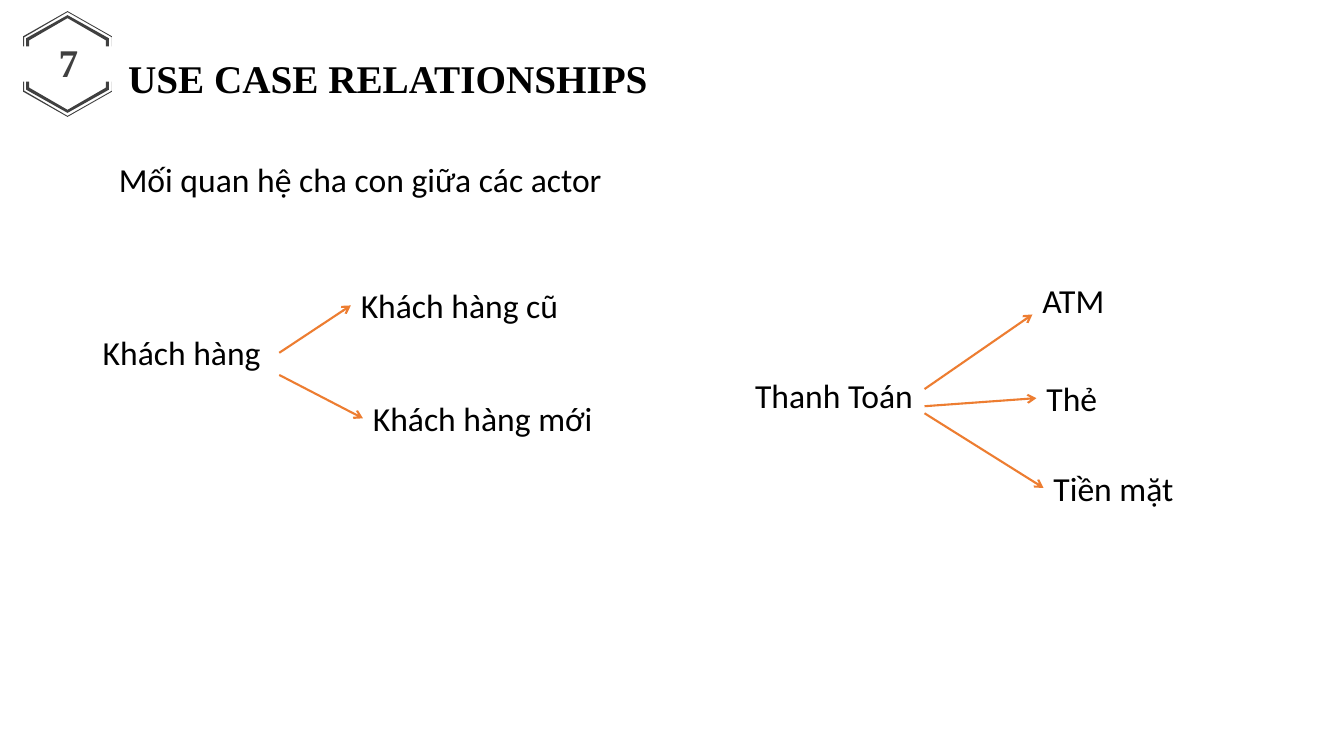
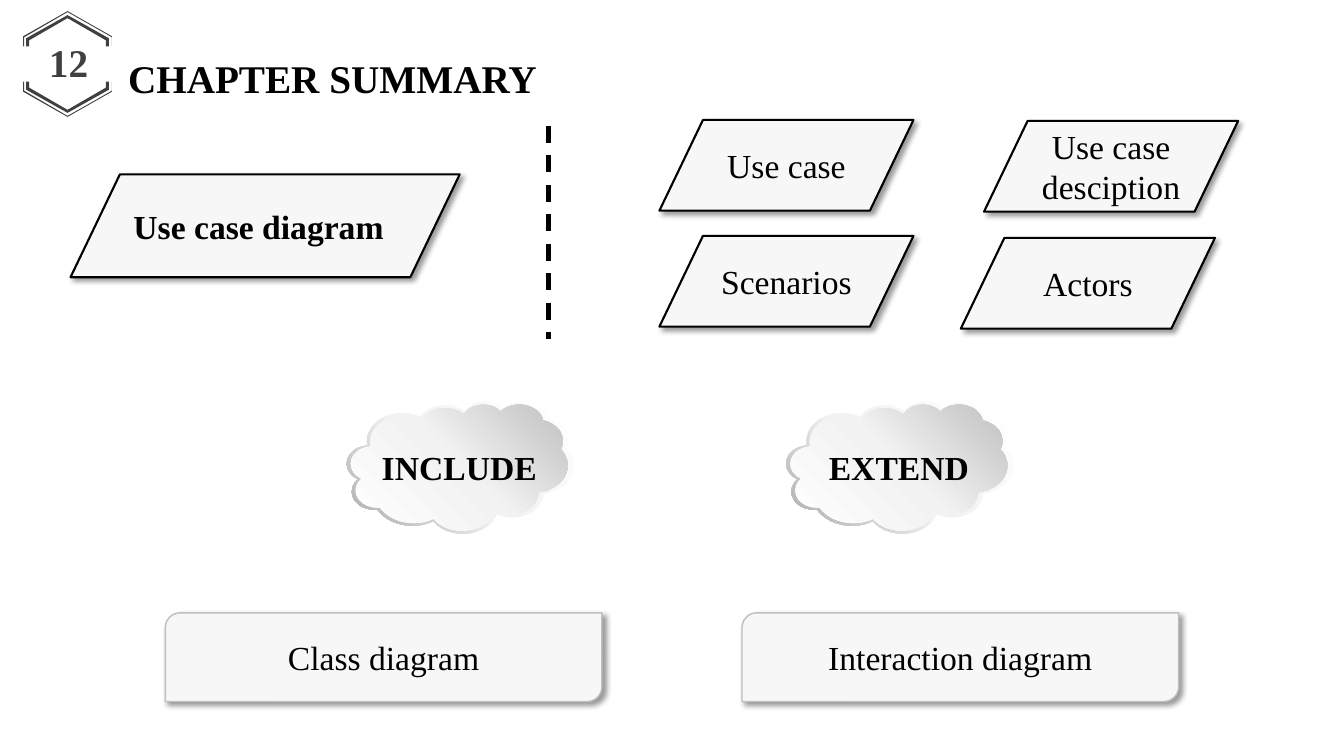
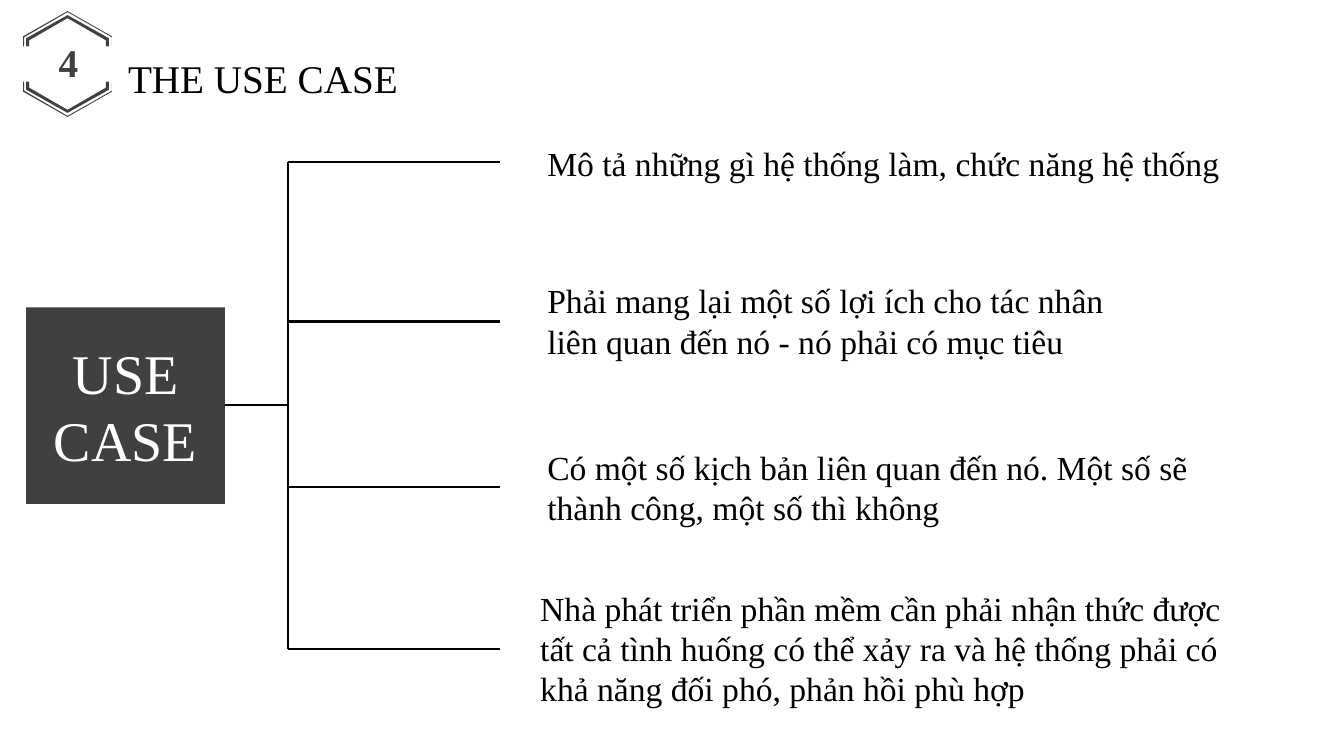
"""Build three slides on use cases and their relationships."""
import pptx
import pptx.util
import pptx.dml.color
import pptx.enum.dml
import pptx.enum.shapes
import pptx.enum.text
import pptx.oxml
import pptx.oxml.ns

PX = 9144
INK = {"black": "000000", "dark": "404040", "white": "FFFFFF", "pale": "F7F7F7",
       "grey": "BFBFBF", "soft": "F2F2F2", "deep": "A6A6A6", "orange": "ED7D31"}
SERIF = "Times New Roman"
SANS = "Calibri"
RGB = pptx.dml.color.RGBColor.from_string
Pt = pptx.util.Pt
KIND = pptx.enum.shapes.MSO_SHAPE
ALIGN = pptx.enum.text.PP_ALIGN
ANCHOR = pptx.enum.text.MSO_ANCHOR
NS = pptx.oxml.ns.nsdecls("a")


def write(shape, text, font=SERIF, size=24, bold=False, ink="black",
          align=ALIGN.LEFT, anchor=ANCHOR.TOP, wrap=True):
    frame = shape.text_frame
    frame.text = text
    frame.word_wrap = wrap
    frame.auto_size = pptx.enum.text.MSO_AUTO_SIZE.NONE
    frame.vertical_anchor = anchor
    for para in frame.paragraphs:
        para.alignment = align
        for run in para.runs:
            run.font.name = font
            run.font.size = Pt(size)
            run.font.bold = bold
            run.font.color.rgb = RGB(INK[ink])


def join(slide, ends, ink="black", width=1.5):
    line = slide.shapes.add_connector(
        pptx.enum.shapes.MSO_CONNECTOR.STRAIGHT, *(PX * n for n in ends))
    line.line.color.rgb = RGB(INK[ink])
    line.line.width = Pt(width)
    line._element.spPr.append(pptx.oxml.parse_xml(f"<a:effectLst {NS}/>"))
    return line


deck = pptx.Presentation()
deck.slide_width = 1333 * PX
deck.slide_height = 750 * PX

rims = [
    [(24, 46), (24, 37), (67, 12), (111, 37), (111, 46),
     (111, 36), (67, 11), (23, 36), (23, 46)],
    [(29, 46), (29, 40), (67, 18), (105, 40), (105, 46),
     (108, 46), (108, 38), (67, 15), (26, 38), (26, 46)],
]
heads = [("7", "USE CASE RELATIONSHIPS", 1179, True),
         ("12", "CHAPTER SUMMARY", 537, True),
         ("4", "THE USE CASE", 537, False)]
slides = []
for num, name, wide, bold in heads:
    slide = deck.slides.add_slide(deck.slide_layouts[5])
    slides.append(slide)
    title = slide.shapes.title
    title.left, title.top, title.width, title.height = (PX * n for n in (117, 18, wide, 72))
    write(title, name, size=28, bold=bold)
    title.text_frame.margin_top = 13 * PX
    title.text_frame.paragraphs[0].line_spacing = 1.5
    badge = slide.shapes.add_textbox(*(PX * n for n in (21, 29, 94, 65)))
    write(badge, num, size=28, bold=True, ink="dark",
          align=ALIGN.CENTER, anchor=ANCHOR.MIDDLE)
    for rim in rims:
        for side in (rim, [(x, 127 - y) for x, y in rim]):
            pen = slide.shapes.build_freeform(*side[0], scale=PX)
            pen.add_line_segments(side[1:], close=True)
            edge = pen.convert_to_shape()
            edge.shadow.inherit = False
            edge.fill.solid()
            edge.fill.fore_color.rgb = RGB(INK["dark"])
            edge.line.fill.background()

actors, recap, case = slides

labels = [
    ("Mối quan hệ cha con giữa các actor", 108, 153, 503),
    ("Khách hàng", 92, 324, 186),
    ("Khách hàng cũ", 348, 278, 218),
    ("Khách hàng mới", 360, 390, 240),
    ("Thanh Toán", 739, 367, 178),
    ("ATM", 1024, 273, 82),
    ("Thẻ", 1028, 370, 71),
    ("Tiền mặt", 1035, 459, 140),
]
for text, left, top, wide in labels:
    label = actors.shapes.add_textbox(*(PX * n for n in (left, top, wide, 50)))
    write(label, text, font=SANS, wrap=False)

for ends in [(277, 350, 348, 303), (277, 372, 360, 415), (917, 386, 1024, 312),
             (917, 403, 1028, 395), (917, 410, 1035, 484)]:
    arrow = join(actors, ends, "orange")
    edge = arrow._element.spPr.find(pptx.oxml.ns.qn("a:ln"))
    edge.append(pptx.oxml.parse_xml(f'<a:tailEnd {NS} type="arrow"/>'))

SLANT = KIND.PARALLELOGRAM
ROUND = KIND.ROUND_2_DIAG_RECTANGLE
cards = [
    (SLANT, "Use case diagram", 70, 173, 386, 102),
    (SLANT, "Use case", 654, 119, 252, 90),
    (SLANT, "Scenarios", 654, 234, 252, 90),
    (SLANT, "Use case desciption", 976, 120, 252, 90),
    (SLANT, "Actors", 953, 236, 252, 90),
    (ROUND, "Class diagram", 164, 608, 433, 88),
    (ROUND, "Interaction diagram", 736, 608, 433, 88),
]
for kind, text, *box in cards:
    card = recap.shapes.add_shape(kind, *(PX * n for n in box))
    card.fill.solid()
    card.fill.fore_color.rgb = RGB(INK["pale"])
    slant = kind == SLANT
    if slant:
        card.adjustments[0] = 0.48
    card.line.color.rgb = RGB(INK["black" if slant else "grey"])
    card.line.width = Pt(1.5 if slant else 1)
    card.shadow.inherit = False
    glow = card._element.spPr.find(pptx.oxml.ns.qn("a:effectLst"))
    glow.append(pptx.oxml.parse_xml(
        f'<a:outerShdw {NS} blurRad="{Pt(4)}" dist="{Pt(3)}" dir="2700000" algn="tl" '
        f'rotWithShape="0"><a:srgbClr val="{INK["black"]}"><a:alpha val="40000"/>'
        '</a:srgbClr></a:outerShdw>'))
    main = text == "Use case diagram"
    write(card, text, bold=main, anchor=ANCHOR.MIDDLE,
          align=ALIGN.LEFT if main else ALIGN.CENTER)

for text, left in [("INCLUDE", 344), ("EXTEND", 780)]:
    for box, mid, end, turn in [((left, 398, 225, 131), 55, "deep", 135),
                                ((left + 4, 401, 215, 125), 51, "grey", 315)]:
        cloud = recap.shapes.add_shape(KIND.CLOUD, *(PX * n for n in box))
        cloud.shadow.inherit = False
        cloud.line.fill.background()
        stops = "".join(
            f'<a:gs pos="{pos * 1000}"><a:srgbClr val="{INK[ink]}"/></a:gs>'
            for pos, ink in [(0, "white"), (mid, "soft"), (100, end)])
        cloud._element.spPr.insert(2, pptx.oxml.parse_xml(
            f'<a:gradFill {NS} rotWithShape="1"><a:gsLst>{stops}</a:gsLst>'
            f'<a:lin ang="{turn * 60000}" scaled="0"/></a:gradFill>'))
    label = recap.shapes.add_textbox(*(PX * n for n in (left + 16, 438, 191, 50)))
    write(label, text, bold=True, align=ALIGN.CENTER)

rule = join(recap, (544, 125, 544, 336), width=3)
rule.line.dash_style = pptx.enum.dml.MSO_LINE.DASH

root = case.shapes.add_shape(KIND.RECTANGLE, *(PX * n for n in (26, 305, 197, 195)))
root.shadow.inherit = False
root.fill.solid()
root.fill.fore_color.rgb = RGB(INK["dark"])
root.line.fill.background()
write(root, "USE\nCASE", size=40, ink="white", align=ALIGN.CENTER,
      anchor=ANCHOR.MIDDLE, wrap=False)
join(case, (223, 402, 286, 402))
join(case, (286, 161, 286, 644))

points = [
    (161, "Mô tả những gì hệ thống làm, chức năng hệ thống", 533, 137, 700, 50),
    (319, "Phải mang lại một số lợi ích cho tác nhân liên quan đến nó - nó phải có mục tiêu",
     533, 273, 629, 91),
    (483, "Có một số kịch bản liên quan đến nó. Một số sẽ thành công, một số thì không",
     533, 438, 667, 91),
    (644, "Nhà phát triển phần mềm cần phải nhận thức được tất cả tình huống có thể xảy ra "
          "và hệ thống phải có khả năng đối phó, phản hồi phù hợp", 526, 578, 704, 172),
]
for level, text, *box in points:
    join(case, (286, level, 496, level))
    write(case.shapes.add_textbox(*(PX * n for n in box)), text)

deck.save("out.pptx")
